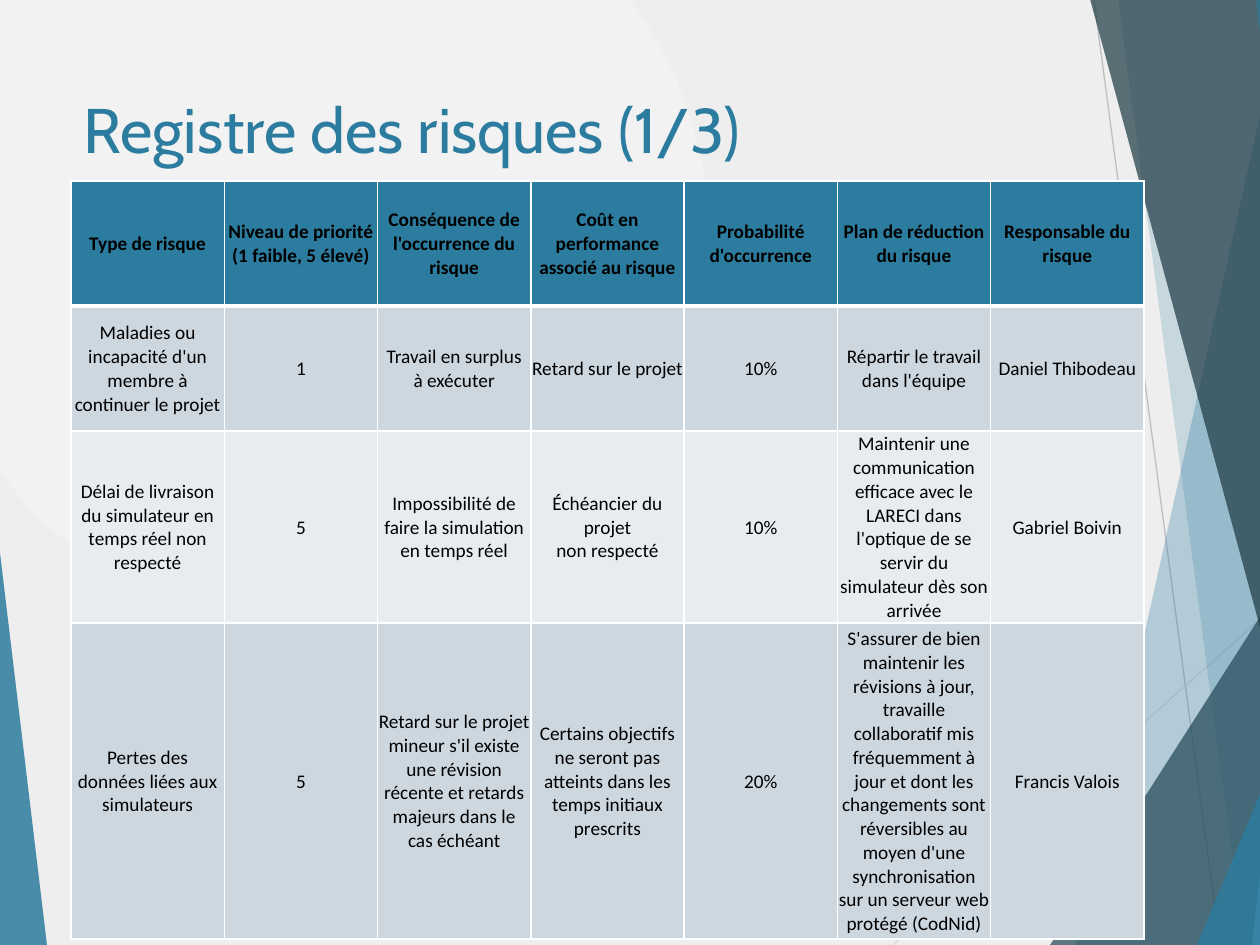
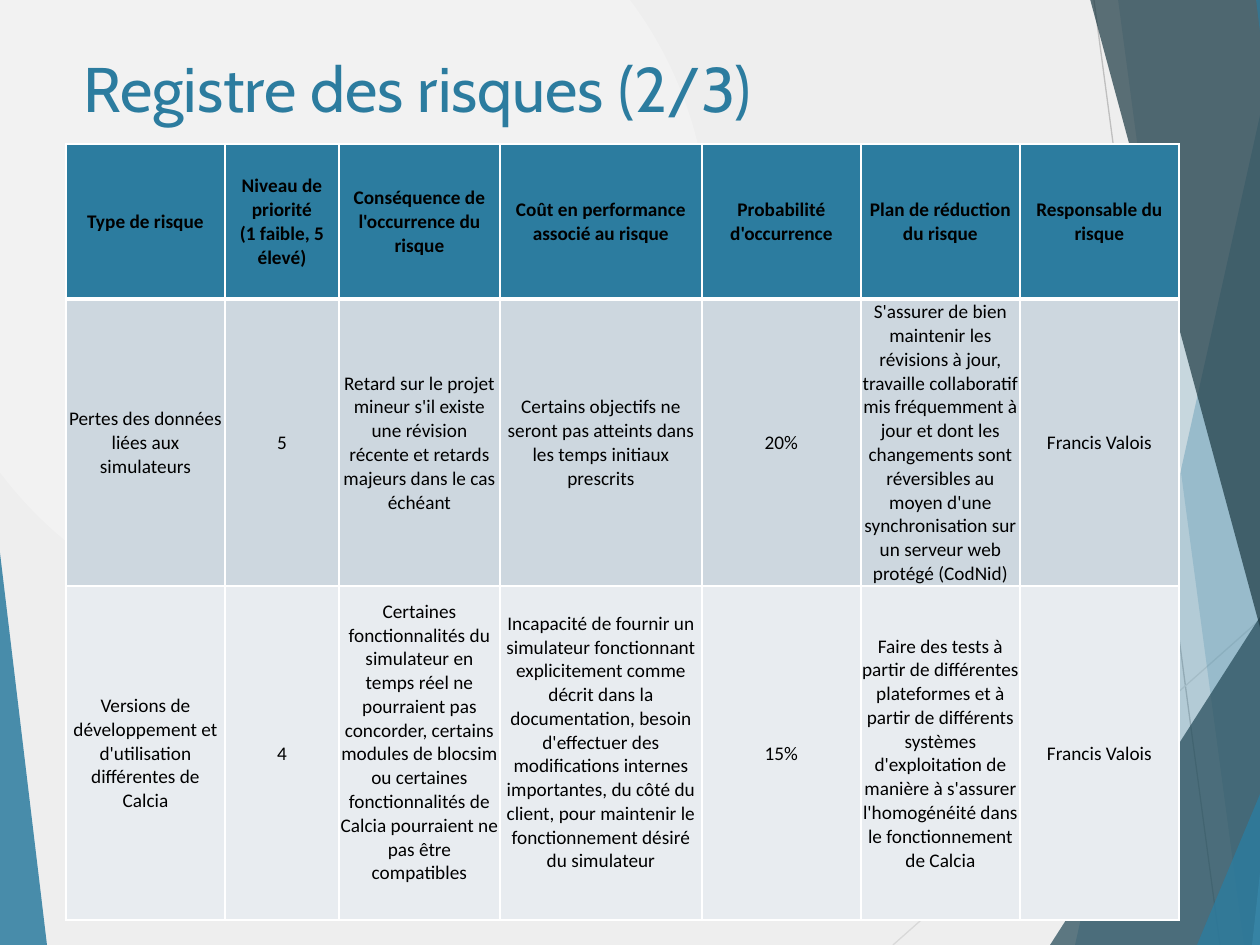
from lxml import etree
from pptx import Presentation
from pptx.dml.color import RGBColor
from pptx.enum.shapes import MSO_CONNECTOR, MSO_SHAPE
from pptx.enum.text import MSO_ANCHOR, MSO_AUTO_SIZE, PP_ALIGN
from pptx.oxml.ns import qn
from pptx.util import Emu, Pt

STRAIGHT = MSO_CONNECTOR.STRAIGHT
TRIANGLE = MSO_SHAPE.ISOSCELES_TRIANGLE
LEFT, CENTER = PP_ALIGN.LEFT, PP_ALIGN.CENTER
TOP, MIDDLE = MSO_ANCHOR.TOP, MSO_ANCHOR.MIDDLE

EMU_PER_PX = 914400 / 126
SLIDE_W, SLIDE_H = 1260, 945
BLEED_RIGHT = 1386
TITLE_ONLY = 5

BLUE, SKY = "2C7C9F", "6FB7D7"
SLATE, NIGHT = "244A58", "1B3842"
BLACK, WHITE = "000000", "FFFFFF"
ROW_FILLS = ("CDD7DF", "E8ECF0")
BACKDROP = ("F2F2F2", "EEEEEE")
TITLE_FONT, BODY_FONT = "Cabin", "Calibri"

HEADERS = (
    "Type de risque",
    "Niveau de priorité\n(1 faible, 5 élevé)",
    "Conséquence de\nl'occurrence du risque",
    "Coût en performance\nassocié au risque",
    "Probabilité d'occurrence",
    "Plan de réduction\ndu risque",
    "Responsable du risque",
)
ILLNESS = (
    "Maladies ou\nincapacité d'un membre à continuer le projet",
    "1",
    "Travail en surplus\nà exécuter",
    "Retard sur le projet",
    "10%",
    "Répartir le travail\ndans l'équipe",
    "Daniel Thibodeau",
)
LATE_DELIVERY = (
    "Délai de livraison\ndu simulateur en temps réel non respecté",
    "5",
    "Impossibilité de\nfaire la simulation en temps réel",
    "Échéancier du projet\nnon respecté",
    "10%",
    "Maintenir une communication efficace avec le LARECI dans l'optique de se "
    "servir du simulateur dès son arrivée",
    "Gabriel Boivin",
)
DATA_LOSS = (
    "Pertes des données liées aux simulateurs",
    "5",
    "Retard sur le projet mineur s'il existe une révision récente et retards "
    "majeurs dans le cas échéant",
    "Certains objectifs ne seront pas atteints dans les temps initiaux prescrits",
    "20%",
    "S'assurer de bien maintenir les révisions à jour, travaille collaboratif mis "
    "fréquemment à jour et dont les changements sont réversibles au moyen d'une "
    "synchronisation sur un serveur web protégé (CodNid)",
    "Francis Valois",
)
VERSION_MISMATCH = (
    "Versions de développement et d'utilisation différentes de Calcia",
    "4",
    "Certaines fonctionnalités du simulateur en temps réel ne pourraient pas "
    "concorder, certains modules de blocsim ou certaines fonctionnalités de "
    "Calcia pourraient ne pas être compatibles",
    "Incapacité de fournir un simulateur fonctionnant explicitement comme décrit "
    "dans la documentation, besoin d'effectuer des modifications internes "
    "importantes, du côté du client, pour maintenir le fonctionnement désiré du "
    "simulateur",
    "15%",
    "Faire des tests à partir de différentes plateformes et à partir de différents "
    "systèmes d'exploitation de manière à s'assurer l'homogénéité dans le "
    "fonctionnement de Calcia",
    "Francis Valois",
)


def px(length):
    return Emu(round(length * EMU_PER_PX))


def rgb(hex_color):
    return RGBColor.from_string(hex_color)


def write_text(frame, text, *, font, size, color, bold=False, align=LEFT, anchor=TOP):
    frame.text = text
    frame.vertical_anchor = anchor
    for paragraph in frame.paragraphs:
        paragraph.alignment = align
        for run in paragraph.runs:
            run.font.name = font
            run.font.size = Pt(size)
            run.font.bold = bold
            run.font.color.rgb = rgb(color)


def style_veil(shape, color, opacity):
    """Give a shape a see-through fill, no outline and no shadow."""
    shape.shadow.inherit = False
    shape.line.fill.background()
    shape.fill.solid()
    shape.fill.fore_color.rgb = rgb(color)
    tint = shape.element.spPr.find(f"{qn('a:solidFill')}/{qn('a:srgbClr')}")
    etree.SubElement(tint, qn("a:alpha"), val=str(opacity * 1000))


def add_band(slide, top_x, bottom_x, color, opacity):
    """Add a slanted band that runs from its left edge past the slide's right."""
    outline = slide.shapes.build_freeform(px(top_x), px(-1))
    corners = ((BLEED_RIGHT, -1), (BLEED_RIGHT, SLIDE_H), (bottom_x, SLIDE_H))
    outline.add_line_segments([(px(x), px(y)) for x, y in corners], close=True)
    style_veil(outline.convert_to_shape(), color, opacity)


def add_triangle(slide, left, top, width, apex, color, opacity):
    """Add a triangle standing on the slide's bottom; apex is 0 left, 1 right."""
    triangle = slide.shapes.add_shape(
        TRIANGLE, px(left), px(top), px(width), px(SLIDE_H - top))
    triangle.adjustments[0] = apex
    style_veil(triangle, color, opacity)


def add_hairline(slide, start, end, color):
    hairline = slide.shapes.add_connector(STRAIGHT, *map(px, start + end))
    hairline.line.color.rgb = rgb(color)
    hairline.line.width = Pt(0.75)
    etree.SubElement(hairline.element.spPr, qn("a:effectLst"))


def paint_background(layout):
    fill = layout.background.fill
    fill.gradient()
    for stop, color in zip(fill.gradient_stops, BACKDROP):
        stop.color.rgb = rgb(color)
    gradient = layout.element.find(f".//{qn('a:gradFill')}")
    for linear in gradient.findall(qn("a:lin")):
        gradient.remove(linear)
    radial = etree.SubElement(gradient, qn("a:path"), path="circle")
    etree.SubElement(radial, qn("a:fillToRect"),
                     l="50000", t="50000", r="100000", b="100000")


def draw_facets(slide):
    add_hairline(slide, (1094, 0), (1220, SLIDE_H), "BFBFBF")
    add_hairline(slide, (BLEED_RIGHT, 508), (893, SLIDE_H), "D9D9D9")
    add_band(slide, 1286, 1075, BLUE, 30)
    add_band(slide, 1118, 1244, BLUE, 20)
    add_triangle(slide, 1050, 420, 336, 1, SLATE, 72)
    add_band(slide, 1090, 1346, NIGHT, 70)
    add_band(slide, 1357, 1252, SKY, 70)
    add_band(slide, 1256, 1371, BLUE, 65)
    add_triangle(slide, 1197, 495, 188, 1, BLUE, 80)
    add_triangle(slide, 0, 553, 47, 0, BLUE, 85)


def move_to_layout(slide, layout):
    """Move the slide's drawn shapes behind everything on its layout."""
    drawn = [shape for shape in slide.shapes if not shape.is_placeholder]
    for index, shape in enumerate(drawn):
        shape.element.find(f".//{qn('p:cNvPr')}").set("id", str(100 + index))
        layout.shapes.element.insert(2 + index, shape.element)


def set_title(slide, text, top):
    title = slide.shapes.title
    title.left, title.top, title.width, title.height = map(px, (71, top, 888, 181))
    write_text(title.text_frame, text, font=TITLE_FONT, size=36, color=BLUE)
    title.text_frame.word_wrap = True
    title.text_frame.auto_size = MSO_AUTO_SIZE.NONE


def set_borders(cell, top, bottom):
    properties = cell._tc.get_or_add_tcPr()
    for side, points in (("L", 1), ("R", 1), ("T", top), ("B", bottom)):
        border = etree.SubElement(properties, qn(f"a:ln{side}"), w=str(Pt(points)))
        fill = etree.SubElement(border, qn("a:solidFill"))
        etree.SubElement(fill, qn("a:srgbClr"), val=WHITE)


def fill_cell(cell, text, row):
    is_header = row == 0
    set_borders(cell, top=3 if row == 1 else 1, bottom=3 if is_header else 1)
    cell.fill.solid()
    cell.fill.fore_color.rgb = rgb(BLUE if is_header else ROW_FILLS[(row - 1) % 2])
    cell.margin_left = cell.margin_right = cell.margin_top = px(1)
    cell.margin_bottom = 0
    write_text(cell.text_frame, text, font=BODY_FONT, size=11, color=BLACK,
               bold=is_header, align=CENTER)
    cell.vertical_anchor = MIDDLE


def add_register(slide, left, top, widths, heights, risks):
    rows = (HEADERS, *risks)
    register = slide.shapes.add_table(
        len(rows), len(HEADERS), px(left), px(top),
        px(sum(widths)), px(sum(heights))).table
    for column, width in zip(register.columns, widths):
        column.width = px(width)
    for row, height in zip(register.rows, heights):
        row.height = px(height)
    for r, texts in enumerate(rows):
        for c, text in enumerate(texts):
            fill_cell(register.cell(r, c), text, r)
    return register


def main():
    deck = Presentation()
    deck.slide_width, deck.slide_height = px(SLIDE_W), px(SLIDE_H)
    layout = deck.slide_layouts[TITLE_ONLY]
    paint_background(layout)

    first = deck.slides.add_slide(layout)
    draw_facets(first)
    move_to_layout(first, layout)
    set_title(first, "Registre des risques (1/3)", 84)
    add_register(first, 71, 181, [1073 / 7] * 7, (125, 125, 192, 316),
                 (ILLNESS, LATE_DELIVERY, DATA_LOSS))

    second = deck.slides.add_slide(layout)
    set_title(second, "Registre des risques (2/3)", 43)
    register = add_register(second, 66, 144, (159, 114, 161, 202, 159, 159, 159),
                            (155, 287, 334), (DATA_LOSS, VERSION_MISMATCH))
    for column in (2, 3):
        register.cell(2, column).margin_bottom = px(22)

    deck.save("out.pptx")


if __name__ == "__main__":
    main()
